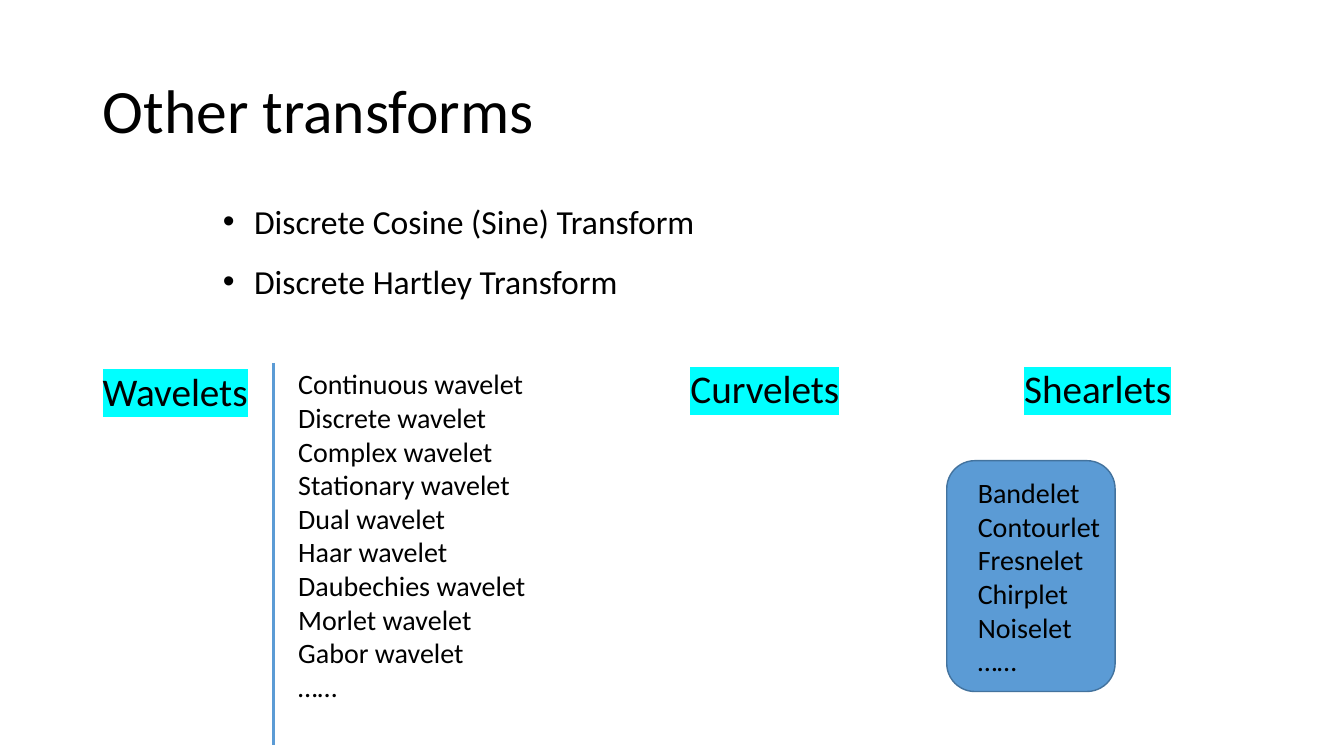
from dataclasses import dataclass

from lxml import etree
from pptx import Presentation
from pptx.dml.color import RGBColor
from pptx.enum.shapes import MSO_CONNECTOR as Connector, MSO_SHAPE as Preset
from pptx.enum.text import MSO_ANCHOR as Anchor, MSO_AUTO_SIZE as AutoSize, PP_ALIGN as Align
from pptx.oxml.ns import qn
from pptx.util import Inches, Pt


@dataclass(frozen=True)
class Theme:
    font: str = "Calibri"
    text: str = "000000"
    accent: str = "5B9BD5"
    outline: str = "43739E"
    highlight: str = "00FFFF"
    title_size: int = 44
    heading_size: int = 28
    bullet_size: int = 24
    list_size: int = 20


THEME = Theme()

TRANSFORMS = ["Discrete Cosine (Sine) Transform", "Discrete Hartley Transform"]
WAVELETS = [f"{kind} wavelet" for kind in (
    "Continuous", "Discrete", "Complex", "Stationary", "Dual",
    "Haar", "Daubechies", "Morlet", "Gabor")] + ["……"]
OTHER_LETS = ["Bandelet", "Contourlet", "Fresnelet", "Chirplet", "Noiselet", "……"]


def place(shape, box):
    shape.left, shape.top, shape.width, shape.height = map(Inches, box)


def add_bullet(para, indent):
    props = para._p.get_or_add_pPr()
    props.set("marL", str(Inches(indent)))
    props.set("indent", str(-Inches(indent)))
    etree.SubElement(props, qn("a:buFont")).set("typeface", "Arial")
    etree.SubElement(props, qn("a:buChar")).set("char", "•")


def write_lines(frame, lines, size, spacing=1.0, indent=0, highlight=None):
    frame.word_wrap = True
    for index, line in enumerate(lines):
        para = frame.paragraphs[0] if index == 0 else frame.add_paragraph()
        if indent:
            add_bullet(para, indent)
        para.alignment = Align.LEFT
        para.line_spacing = spacing
        para.space_before = Pt(0)
        span = para.add_run()
        span.text = line
        span.font.size = Pt(size)
        span.font.color.rgb = RGBColor.from_string(THEME.text)
        if highlight:
            mark = etree.SubElement(span._r.get_or_add_rPr(), qn("a:highlight"))
            etree.SubElement(mark, qn("a:srgbClr")).set("val", highlight)
        span.font.name = THEME.font


def add_text(page, box, lines, size, highlight=None):
    shape = page.shapes.add_textbox(*map(Inches, box))
    write_lines(shape.text_frame, lines, size, highlight=highlight)


def add_heading(page, left, top, text):
    add_text(page, (left, top, 2.36, 0.57), [text], THEME.heading_size, THEME.highlight)


def fill_title(page, box):
    title = page.shapes.title
    place(title, box)
    title.text_frame.vertical_anchor = Anchor.MIDDLE
    write_lines(title.text_frame, ["Other transforms"], THEME.title_size, spacing=0.9)


def fill_transforms(page, box):
    body = page.placeholders[1]
    place(body, box)
    body.text_frame.auto_size = AutoSize.NONE
    write_lines(body.text_frame, TRANSFORMS, THEME.bullet_size, spacing=1.5, indent=0.31)


def add_wavelets(page, box):
    left, top, width, height = box
    add_heading(page, left, top, "Wavelets")

    # Divider between the heading and its list
    divider_x = Inches(left + 1.79)
    divider = page.shapes.add_connector(
        Connector.STRAIGHT, divider_x, Inches(top + 0.01), divider_x, Inches(top + height))
    divider.line.color.rgb = RGBColor.from_string(THEME.accent)
    divider.line.width = Pt(2.25)
    etree.SubElement(divider._element.spPr, qn("a:effectLst"))

    add_text(page, (left + 1.94, top, width - 1.94, 3.47), WAVELETS, THEME.list_size)


def add_other_lets(page, box):
    left, top, width, height = box
    panel = page.shapes.add_shape(Preset.ROUNDED_RECTANGLE, *map(Inches, box))
    panel.shadow.inherit = False
    panel.fill.solid()
    panel.fill.fore_color.rgb = RGBColor.from_string(THEME.accent)
    panel.line.color.rgb = RGBColor.from_string(THEME.outline)
    panel.line.width = Pt(1)
    add_text(page, (left + 0.21, top + 0.1, width - 0.03, height - 0.17),
             OTHER_LETS, THEME.list_size)


def main():
    deck = Presentation()
    deck.slide_width, deck.slide_height = Inches(13.33), Inches(7.5)
    page = deck.slides.add_slide(deck.slide_layouts[1])

    # Title and main list
    fill_title(page, (0.92, 0.4, 11.5, 1.45))
    fill_transforms(page, (2.11, 1.74, 6.39, 1.25))

    # Families of transforms
    add_wavelets(page, (0.92, 3.59, 5.74, 3.8))
    add_heading(page, 6.75, 3.57, "Curvelets")
    add_heading(page, 10.06, 3.57, "Shearlets")
    add_other_lets(page, (9.39, 4.57, 1.67, 2.29))

    deck.save("out.pptx")


if __name__ == "__main__":
    main()
